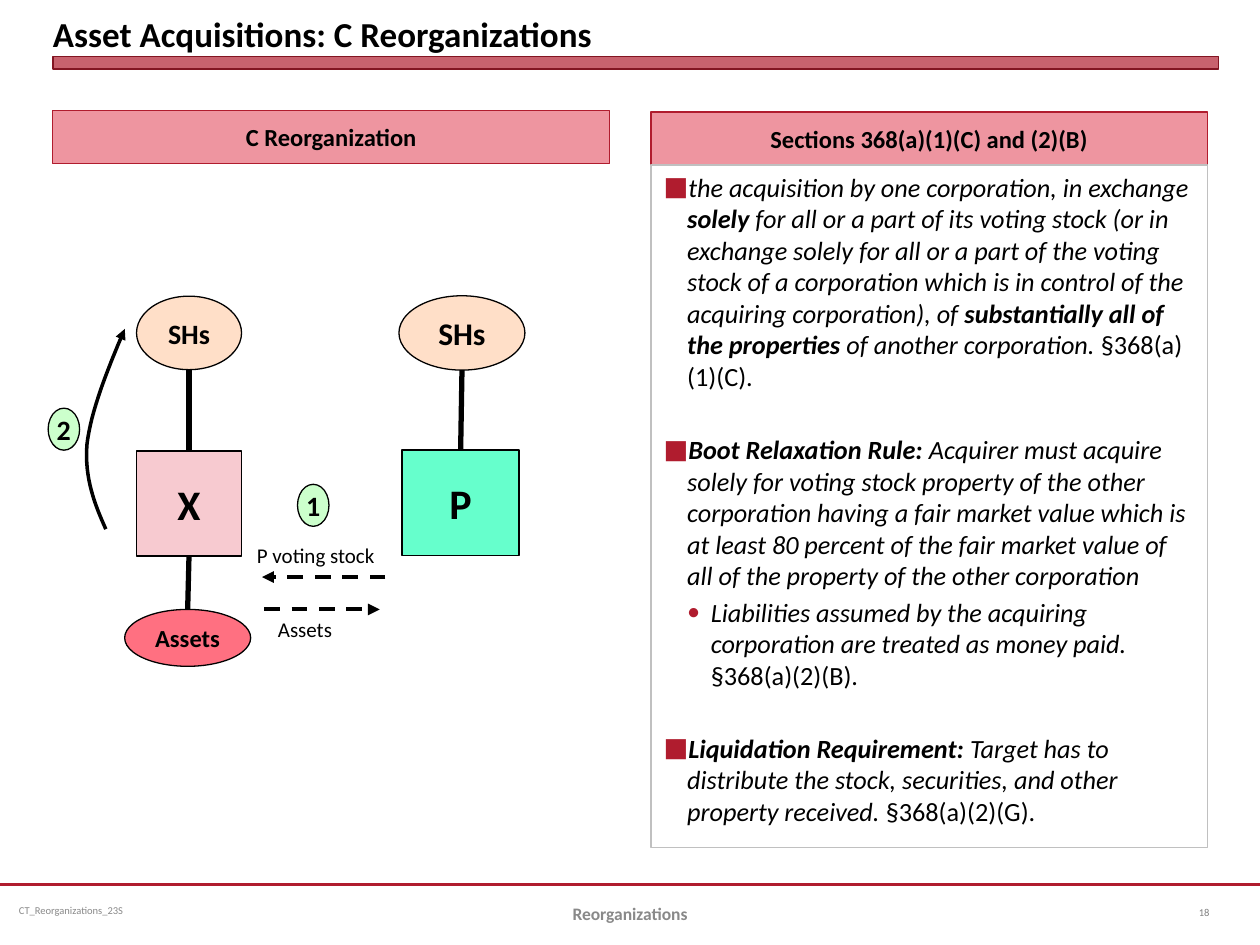
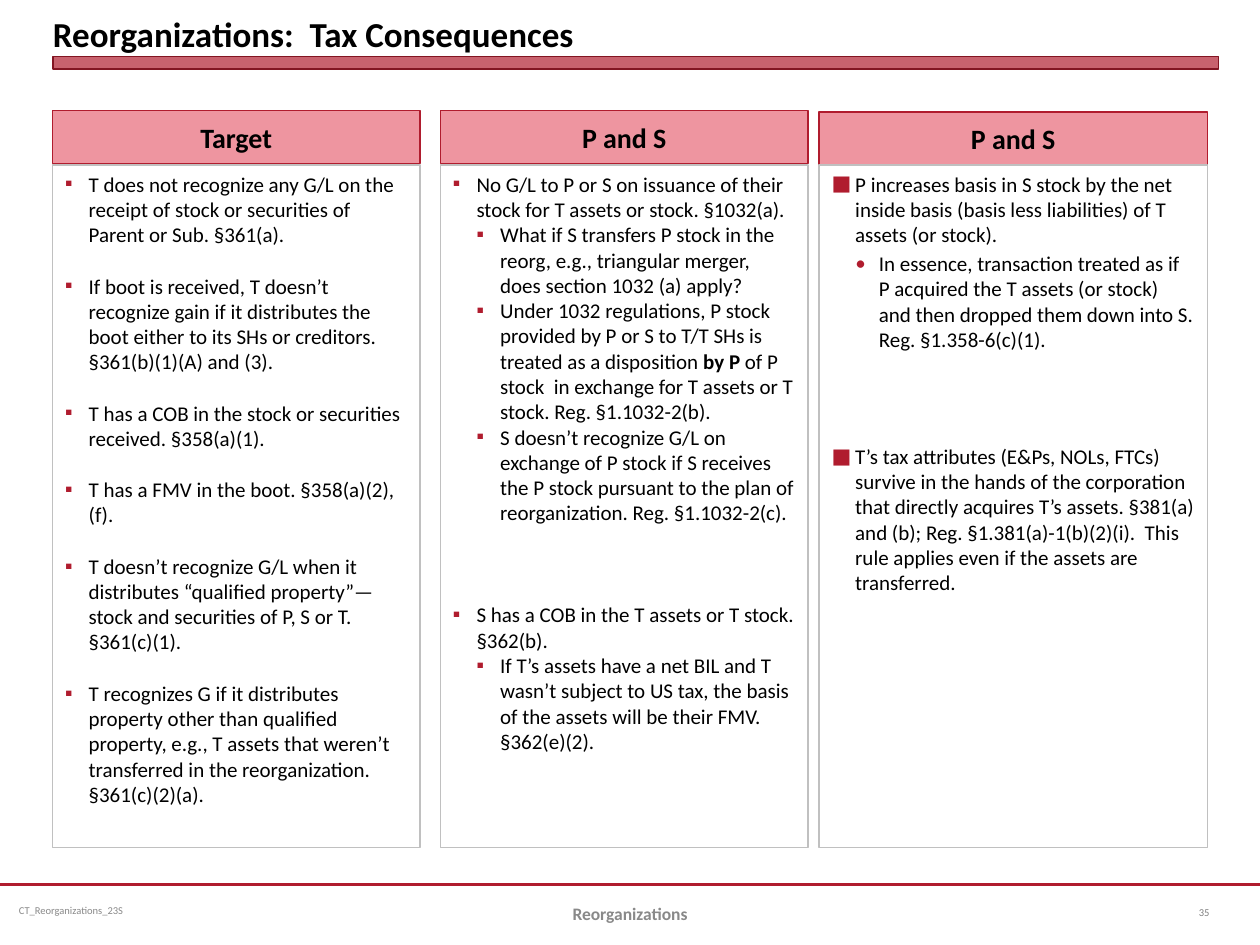
"""Build two slides on corporate reorganizations: C reorganizations and tax consequences."""
from dataclasses import dataclass
from typing import Any, NamedTuple, Optional

from lxml import etree
from pptx import Presentation
from pptx import util as u
from pptx.dml import color
from pptx.enum import dml, shapes, text
from pptx.oxml import ns

Pt = u.Pt
FONT = "Calibri"
COLORS = {
    "crimson": "B01C2E", "dark_crimson": "821522", "header": "EE95A0", "panel_edge": "C0C0C0",
    "white": "FFFFFF", "black": "000000", "footer": "898989", "number": "808080",
    "holders": "FFDFC8", "target": "F7CAD0", "parent": "66FFCC", "assets": "FF7081", "step": "CCFFCC",
}
LEFT, CENTER = text.PP_ALIGN.LEFT, text.PP_ALIGN.CENTER
TOP, MIDDLE, BOTTOM = text.MSO_ANCHOR.TOP, text.MSO_ANCHOR.MIDDLE, text.MSO_ANCHOR.BOTTOM
RECT, OVAL = shapes.MSO_SHAPE.RECTANGLE, shapes.MSO_SHAPE.OVAL
INDENT = 13.5
PANEL_TOP, PANEL_HEIGHT, HEADER_HEIGHT = 94.25, 390, 30.25


class Box(NamedTuple):
    left: float
    top: float
    width: float
    height: float


class Run(NamedTuple):
    words: str
    style: str = ""


@dataclass
class Item:
    runs: list[Run]
    level: int = 0
    gap: float = 0
    mark: str = "■"


@dataclass
class Column:
    heading: str
    left: float
    width: float
    header_top: float
    heading_size: float
    item_size: float
    items: list[Item]
    header_idx: Optional[int] = None
    panel_idx: Optional[int] = None


@dataclass
class Node:
    label: str
    kind: Any
    box: Box
    fill: str
    size: float
    edge: float = 0.75


def rgb(name: str) -> color.RGBColor:
    return color.RGBColor.from_string(COLORS[name])


def apply(target: Any, values: dict[str, Any]) -> None:
    for key, value in values.items():
        setattr(target, key, value)


def place(shape: Any, box: Box) -> None:
    apply(shape, {side: Pt(length) for side, length in box._asdict().items()})


def paint(shape: Any, fill: str, edge: str, width: float) -> None:
    shape.shadow.inherit = False
    shape.fill.solid()
    shape.fill.fore_color.rgb = rgb(fill)
    shape.line.color.rgb = rgb(edge)
    shape.line.width = Pt(width)


def frame(shape: Any, anchor: Any, wrap: bool = True, inset: Optional[float] = None) -> Any:
    body = shape.text_frame
    apply(body, {"word_wrap": wrap, "auto_size": text.MSO_AUTO_SIZE.NONE, "vertical_anchor": anchor})
    if inset is not None:
        apply(body, {f"margin_{side}": Pt(inset) for side in ("left", "top", "right", "bottom")})
    return body


def add_run(paragraph: Any, run: Run, size: float, ink: str = "black") -> None:
    piece = paragraph.add_run()
    piece.text = run.words
    apply(piece.font, {"name": FONT, "size": Pt(size), "bold": "b" in run.style, "italic": "i" in run.style})
    piece.font.color.rgb = rgb(ink)


def write(body: Any, run: Run, size: float, align: Any = LEFT, ink: str = "black") -> None:
    paragraph = body.paragraphs[0]
    apply(paragraph, {"alignment": align, "space_before": Pt(0)})
    add_run(paragraph, run, size, ink)


def add_text(slide: Any, box: Box, run: Run, size: float, ink: str = "black", align: Any = LEFT,
             anchor: Any = MIDDLE, wrap: bool = True) -> None:
    label = slide.shapes.add_textbox(*map(Pt, box))
    write(frame(label, anchor, wrap), run, size, align, ink)


def add_bullet(paragraph: Any, item: Item) -> None:
    props = paragraph._p.get_or_add_pPr()
    props.set("marL", str(Pt(INDENT * (item.level + 1))))
    props.set("indent", str(-Pt(INDENT)))
    tint = etree.SubElement(props, ns.qn("a:buClr"))
    etree.SubElement(tint, ns.qn("a:srgbClr"), val=COLORS["crimson"])
    etree.SubElement(props, ns.qn("a:buFont"), typeface=FONT)
    etree.SubElement(props, ns.qn("a:buChar"), char=item.mark)


def write_items(body: Any, items: list[Item], size: float) -> None:
    for number, item in enumerate(items):
        paragraph = body.add_paragraph() if number else body.paragraphs[0]
        apply(paragraph, {"alignment": LEFT, "level": item.level, "space_before": Pt(item.gap)})
        add_bullet(paragraph, item)
        for run in item.runs:
            add_run(paragraph, run, size)


def panel(slide: Any, idx: Optional[int], box: Box, fill: str, edge: str) -> Any:
    if idx is None:
        shape = slide.shapes.add_shape(RECT, *map(Pt, box))
    else:
        shape = slide.placeholders[idx]
        place(shape, box)
    paint(shape, fill, edge, 0.75)
    return shape


def add_column(slide: Any, column: Column) -> None:
    if column.items:
        area = Box(column.left, PANEL_TOP, column.width, PANEL_HEIGHT)
        listing = panel(slide, column.panel_idx, area, "white", "panel_edge")
        write_items(frame(listing, TOP), column.items, column.item_size)
    else:
        unused = slide.placeholders[column.panel_idx]._element
        unused.getparent().remove(unused)
    strip = Box(column.left, column.header_top, column.width, HEADER_HEIGHT)
    header = panel(slide, column.header_idx, strip, "header", "crimson")
    write(frame(header, MIDDLE), Run(column.heading, "b"), column.heading_size, CENTER)


def add_line(slide: Any, start: tuple, end: tuple, ink: str, width: float) -> Any:
    line = slide.shapes.add_connector(shapes.MSO_CONNECTOR.STRAIGHT, *map(Pt, start + end))
    line.line.color.rgb = rgb(ink)
    line.line.width = Pt(width)
    etree.SubElement(line._element.spPr, ns.qn("a:effectLst"))
    return line


def add_arrowhead(shape: Any) -> None:
    etree.SubElement(shape.line._get_or_add_ln(), ns.qn("a:tailEnd"), type="triangle")


def add_node(slide: Any, node: Node) -> Any:
    shape = slide.shapes.add_shape(node.kind, *map(Pt, node.box))
    paint(shape, node.fill, "black", node.edge)
    write(frame(shape, MIDDLE, wrap=False), Run(node.label, "b"), node.size, CENTER)
    return shape


def bezier(points: list[tuple], steps: int = 16) -> list[tuple]:
    def blend(t: float, axis: int) -> float:
        weights = ((1 - t) ** 3, 3 * t * (1 - t) ** 2, 3 * t * t * (1 - t), t ** 3)
        return sum(w * point[axis] for w, point in zip(weights, points))
    return [(Pt(blend(n / steps, 0)), Pt(blend(n / steps, 1))) for n in range(1, steps + 1)]


def add_curve(slide: Any, knots: list[tuple]) -> None:
    builder = slide.shapes.build_freeform(*map(Pt, knots[0]))
    for first in range(0, len(knots) - 1, 3):
        builder.add_line_segments(bezier(knots[first:first + 4]), close=False)
    curve = builder.convert_to_shape()
    curve.shadow.inherit = False
    curve.fill.background()
    curve.line.color.rgb = rgb("black")
    curve.line.width = Pt(2)
    add_arrowhead(curve)


def add_base(deck: Any, heading: str, number: str, columns: list[Column]) -> Any:
    slide = deck.slides.add_slide(deck.slide_layouts.get_by_name("Comparison"))
    add_line(slide, (0, 505.5), (720, 505.5), "crimson", 1.25)
    band = slide.shapes.add_shape(RECT, *map(Pt, (30.25, 32.4, 666, 7)))
    paint(band, "crimson", "dark_crimson", 0)
    tint = band.fill._xPr.find(".//" + ns.qn("a:srgbClr"))
    etree.SubElement(tint, ns.qn("a:alpha"), val="69000")
    place(slide.shapes.title, Box(30.25, 0, 666, 31))
    write(frame(slide.shapes.title, BOTTOM, inset=0), Run(heading, "b"), 20)
    add_text(slide, Box(3.75, 505.5, 186, 29), Run("CT_Reorganizations_23S"), 6, "footer")
    add_text(slide, Box(246, 507.5, 228, 29), Run("Reorganizations", "b"), 10, "footer", CENTER)
    add_text(slide, Box(678, 507, 36, 29), Run(number), 6, "number")
    for column in columns:
        add_column(slide, column)
    return slide


def add_exchange(slide: Any) -> None:
    target = add_node(slide, Node("X", RECT, Box(78, 257.75, 60, 60), "target", 24, 1))
    parent = add_node(slide, Node("P", RECT, Box(229.75, 257, 67, 60.5), "parent", 24, 1))
    for node in (
        Node("SHs", OVAL, Box(78, 169.25, 60, 42), "holders", 16),
        Node("SHs", OVAL, Box(228, 169, 72, 42.5), "holders", 18),
        Node("Assets", OVAL, Box(71.25, 348.25, 72, 32.5), "assets", 14),
        Node("1", OVAL, Box(170, 276.75, 18, 24), "step", 16),
        Node("2", OVAL, Box(27.5, 233.25, 18, 24), "step", 16),
    ):
        add_node(slide, node)
    for corporation, side, tip in ((target, 0, (108, 211.5)), (target, 2, (107.25, 348.25)),
                                   (parent, 0, (264, 211.5))):
        add_line(slide, tip, tip, "black", 3).begin_connect(corporation, side)
    for start, end in (((220.25, 329.75), (149.75, 329.75)), ((151, 348.25), (217, 348.25))):
        flow = add_line(slide, start, end, "black", 2.25)
        flow.line.dash_style = dml.MSO_LINE.DASH
        add_arrowhead(flow)
    for words, box in (("P voting stock", Box(139.75, 306.75, 83, 21.75)),
                       ("Assets", Box(151.75, 348.75, 46, 21.75))):
        add_text(slide, box, Run(words), 12, anchor=TOP, wrap=False)
    add_curve(slide, [(60.5, 302.4), (54, 288), (48.25, 273), (49.7, 254.2),
                      (51.8, 235.4), (61.2, 211.7), (71.3, 188)])


C_RULES = [
    Item([
        Run("the acquisition by one corporation, in exchange ", "i"), Run("solely", "bi"),
        Run(" for all or a part of its voting stock (or in exchange solely for all or a part of the voting "
            "stock of a corporation which is in control of the acquiring corporation), of ", "i"),
        Run("substantially all of the properties ", "bi"), Run("of another corporation. ", "i"),
        Run("§368(a)(1)(C).")]),
    Item([
        Run("Boot Relaxation Rule: ", "bi"),
        Run("Acquirer must acquire solely for voting stock property of the other corporation having a fair "
            "market value which is at least 80 percent of the fair market value of all of the property of "
            "the other corporation", "i")], gap=23.75),
    Item([Run("Liabilities assumed by the acquiring corporation are treated as money paid. ", "i"),
          Run("§368(a)(2)(B).")], 1, 3, "•"),
    Item([Run("Liquidation Requirement: ", "bi"),
          Run("Target has to distribute the stock, securities, and other property received. ", "i"),
          Run("§368(a)(2)(G).")], gap=23.75),
]
TARGET_RULES = [Item([Run(words)], gap=15 if number else 0, mark="▪") for number, words in enumerate((
    "T does not recognize any G/L on the receipt of stock or securities of Parent or Sub. §361(a).",
    "If boot is received, T doesn’t recognize gain if it distributes the boot either to its SHs or "
    "creditors. §361(b)(1)(A) and (3).",
    "T has a COB in the stock or securities received. §358(a)(1).",
    "T has a FMV in the boot. §358(a)(2), (f).",
    "T doesn’t recognize G/L when it distributes “qualified property”—stock and securities of P, S or T. "
    "§361(c)(1).",
    "T recognizes G if it distributes property other than qualified property, e.g., T assets that weren’t "
    "transferred in the reorganization. §361(c)(2)(a).",
))]
ISSUER_RULES = [
    Item([Run("No G/L to P or S on issuance of their stock for T assets or stock. §1032(a).")], mark="▪"),
    Item([Run("What if S transfers P stock in the reorg, e.g., triangular merger, does section 1032 (a) "
              "apply?")], 1, 0.2, "▪"),
    Item([Run("Under 1032 regulations, P stock provided by P or S to T/T SHs is treated as a disposition "),
          Run("by P", "b"),
          Run(" of P stock  in exchange for T assets or T stock. Reg. §1.1032-2(b).")], 1, 0.2, "▪"),
    Item([Run("S doesn’t recognize G/L on exchange of P stock if S receives the P stock pursuant to the plan "
              "of reorganization. Reg. §1.1032-2(c).")], 1, 0.2, "▪"),
    Item([Run("S has a COB in the T assets or T stock. §362(b).")], 0, 44, "▪"),
    Item([Run("If T’s assets have a net BIL and T wasn’t subject to US tax, the basis of the assets will be "
              "their FMV. §362(e)(2).")], 1, 0.2, "▪"),
]
BASIS_RULES = [
    Item([Run("P increases basis in S stock by the net inside basis (basis less liabilities) of T assets "
              "(or stock).")]),
    Item([Run("In essence, transaction treated as if P acquired the T assets (or stock) and then dropped "
              "them down into S. Reg. §1.358-6(c)(1).")], 1, 2.25, "•"),
    Item([Run("T’s tax attributes (E&Ps, NOLs, FTCs) survive in the hands of the corporation that directly "
              "acquires T’s assets. §381(a) and (b); Reg. §1.381(a)-1(b)(2)(i).  This rule applies even if "
              "the assets are transferred.")], gap=52.5),
]


def main() -> None:
    deck = Presentation()
    apply(deck, {"slide_width": Pt(720), "slide_height": Pt(540)})
    exchange = add_base(deck, "Asset Acquisitions: C Reorganizations", "18", [
        Column("C Reorganization", 30, 318.5, 63.25, 14, 15, [], 1, 2),
        Column("Sections 368(a)(1)(C) and (2)(B)", 372, 318, 64, 14, 15, C_RULES, 3, 4),
    ])
    add_exchange(exchange)
    add_base(deck, "Reorganizations:  Tax Consequences", "35", [
        Column("Target", 30, 210, 63.25, 16, 12, TARGET_RULES, 1, 2),
        Column("P and S", 251.75, 210, 63.25, 16, 12, ISSUER_RULES),
        Column("P and S", 468, 222, 64, 16, 12, BASIS_RULES, 3, 4),
    ])
    deck.save("out.pptx")


if __name__ == "__main__":
    main()
